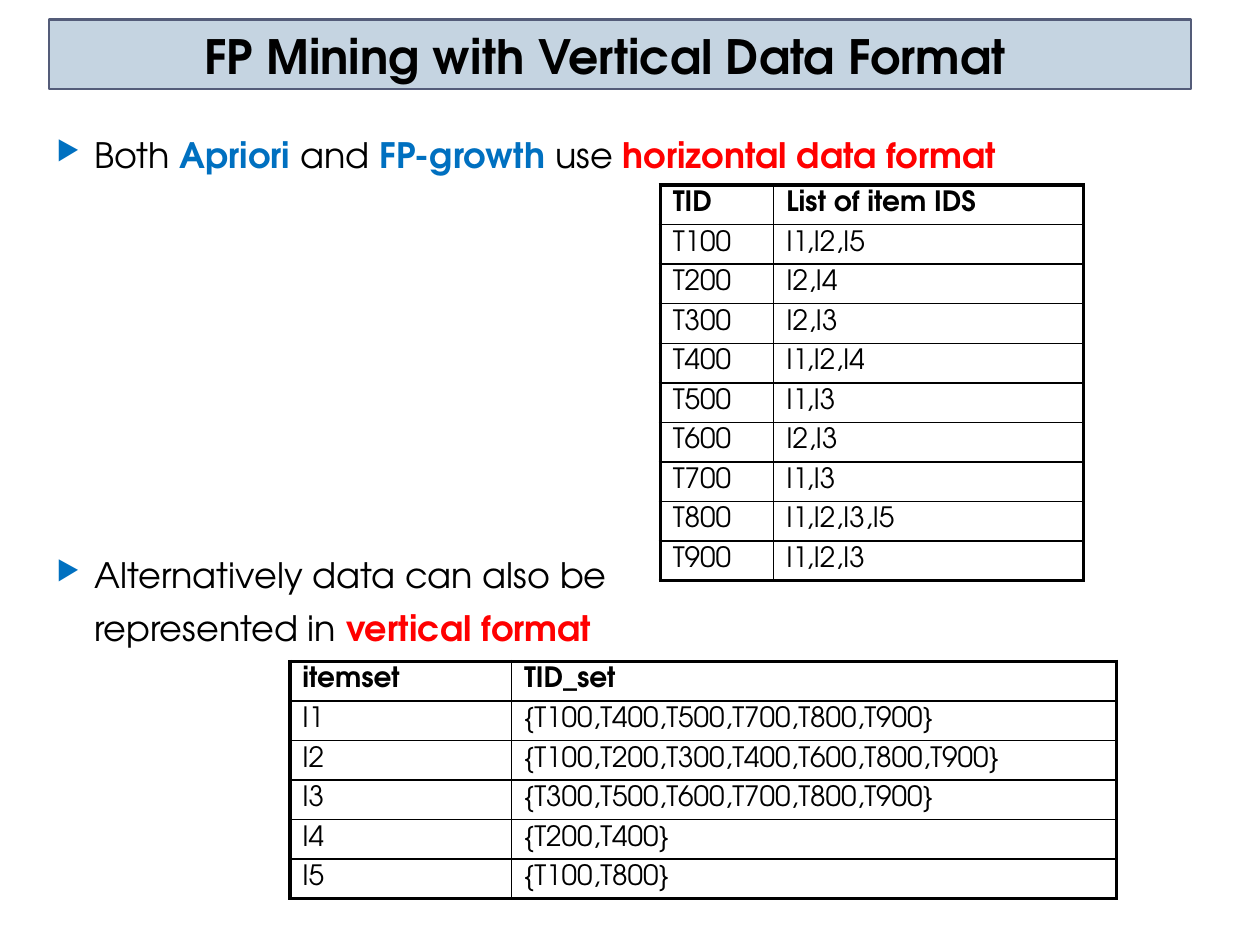
import pptx
import pptx.util
import pptx.dml.color
import pptx.enum.shapes
import pptx.enum.text
import pptx.oxml
import pptx.oxml.ns

Pt = pptx.util.Pt
RGB = pptx.dml.color.RGBColor
BLACK = RGB(0, 0, 0)
RED = RGB(0xFF, 0, 0)
BLUE = RGB(0, 0x70, 0xC0)
PALE = RGB(0xC5, 0xD4, 0xE1)
SLATE = RGB(0x54, 0x5C, 0x79)
FONT = "TeX Gyre Adventor"
NS = pptx.oxml.ns.nsdecls("a")
INDENT = Pt(21.6)
ROW = 22.1

TRANS = [
    ("TID", "List of item IDS"),
    ("T100", "I1,I2,I5"),
    ("T200", "I2,I4"),
    ("T300", "I2,I3"),
    ("T400", "I1,I2,I4"),
    ("T500", "I1,I3"),
    ("T600", "I2,I3"),
    ("T700", "I1,I3"),
    ("T800", "I1,I2,I3,I5"),
    ("T900", "I1,I2,I3"),
]
ITEMS = [
    ("itemset", "TID_set"),
    ("I1", "{T100,T400,T500,T700,T800,T900}"),
    ("I2", "{T100,T200,T300,T400,T600,T800,T900}"),
    ("I3", "{T300,T500,T600,T700,T800,T900}"),
    ("I4", "{T200,T400}"),
    ("I5", "{T100,T800}"),
]
# Each point: space before, bullet or not, runs of text and colour
POINTS = [
    (6, True, [("Both ", BLACK), ("Apriori", BLUE), (" and ", BLACK),
               ("FP-growth", BLUE), (" use ", BLACK),
               ("horizontal data format", RED)]),
    (216, True, [("Alternatively data can also be", BLACK)]),
    (6, False, [("represented in ", BLACK), ("vertical format", RED)]),
]


def style(run, size, color=BLACK, bold=False):
    font = run.font
    font.name, font.size, font.bold = FONT, Pt(size), bold
    font.color.rgb = color


def add_box(slide, left, top, width, height):
    box = slide.shapes.add_textbox(Pt(left), Pt(top), Pt(width), Pt(height))
    box.text_frame.word_wrap = True
    return box.text_frame


def add_title(slide, text):
    bar = slide.shapes.add_shape(pptx.enum.shapes.MSO_SHAPE.RECTANGLE,
                                 Pt(28), Pt(11.2), Pt(652.5), Pt(39.6))
    bar.shadow.inherit = False
    bar.fill.solid()
    bar.fill.fore_color.rgb = PALE
    bar.line.color.rgb = SLATE
    bar.line.width = Pt(1.5)

    frame = add_box(slide, 8, 12.2, 675.4, 39.6)
    frame.vertical_anchor = pptx.enum.text.MSO_ANCHOR.BOTTOM
    frame.text = text
    para = frame.paragraphs[0]
    para.alignment = pptx.enum.text.PP_ALIGN.CENTER
    style(para.runs[0], 27, bold=True)


def indent(para, bullet):
    """Hang the paragraph from a blue triangle, or only indent it."""
    props = para._p.get_or_add_pPr()
    props.set("marL", str(INDENT))
    props.set("indent", str(-INDENT if bullet else 0))
    if bullet:
        for xml in (f'<a:buClr {NS}><a:srgbClr val="{BLUE}"/></a:buClr>',
                    f'<a:buSzPct {NS} val="76000"/>',
                    f'<a:buChar {NS} char="▶"/>'):
            props.append(pptx.oxml.parse_xml(xml))


def add_points(slide):
    frame = add_box(slide, 25.2, 72.7, 672.5, 467.3)
    for i, (gap, bullet, parts) in enumerate(POINTS):
        para = frame.add_paragraph() if i else frame.paragraphs[0]
        para.space_before = Pt(gap)
        indent(para, bullet)
        for text, color in parts:
            run = para.add_run()
            run.text = text
            style(run, 20, color, color != BLACK)


def add_edges(cell, edges):
    """Draw black borders; edges maps L, R, T, B to outer or not."""
    props = cell._tc.get_or_add_tcPr()
    for i, (side, outer) in enumerate(edges.items()):
        width = Pt(2.25 if outer else 1)
        props.insert(i, pptx.oxml.parse_xml(
            f'<a:ln{side} {NS} w="{width}"><a:solidFill>'
            f'<a:srgbClr val="{BLACK}"/></a:solidFill></a:ln{side}>'))


def add_grid(slide, left, top, widths, data):
    last, end = len(data) - 1, len(widths) - 1
    table = slide.shapes.add_table(
        len(data), len(widths), Pt(left), Pt(top),
        Pt(sum(widths)), Pt(ROW * len(data))).table
    table.first_row = table.horz_banding = False
    for col, width in zip(table.columns, widths):
        col.width = Pt(width)
    for r, line in enumerate(data):
        table.rows[r].height = Pt(ROW)
        for c, text in enumerate(line):
            cell = table.cell(r, c)
            cell.margin_top, cell.margin_bottom = Pt(3.4), 0
            cell.fill.background()
            cell.text = text
            style(cell.text_frame.paragraphs[0].runs[0], 16, bold=r == 0)
            add_edges(cell, {"L": c == 0, "R": c == end,
                             "T": r == 0, "B": r == last})


def main():
    deck = pptx.Presentation()
    deck.slide_width, deck.slide_height = Pt(720), Pt(540)
    slide = deck.slides.add_slide(deck.slide_layouts[6])
    add_title(slide, "FP Mining with Vertical Data Format")
    add_points(slide)
    add_grid(slide, 377.3, 105.8, (64.8, 177.1), TRANS)
    add_grid(slide, 165.6, 378, (126.7, 345.6), ITEMS)
    deck.save("out.pptx")


if __name__ == "__main__":
    main()
